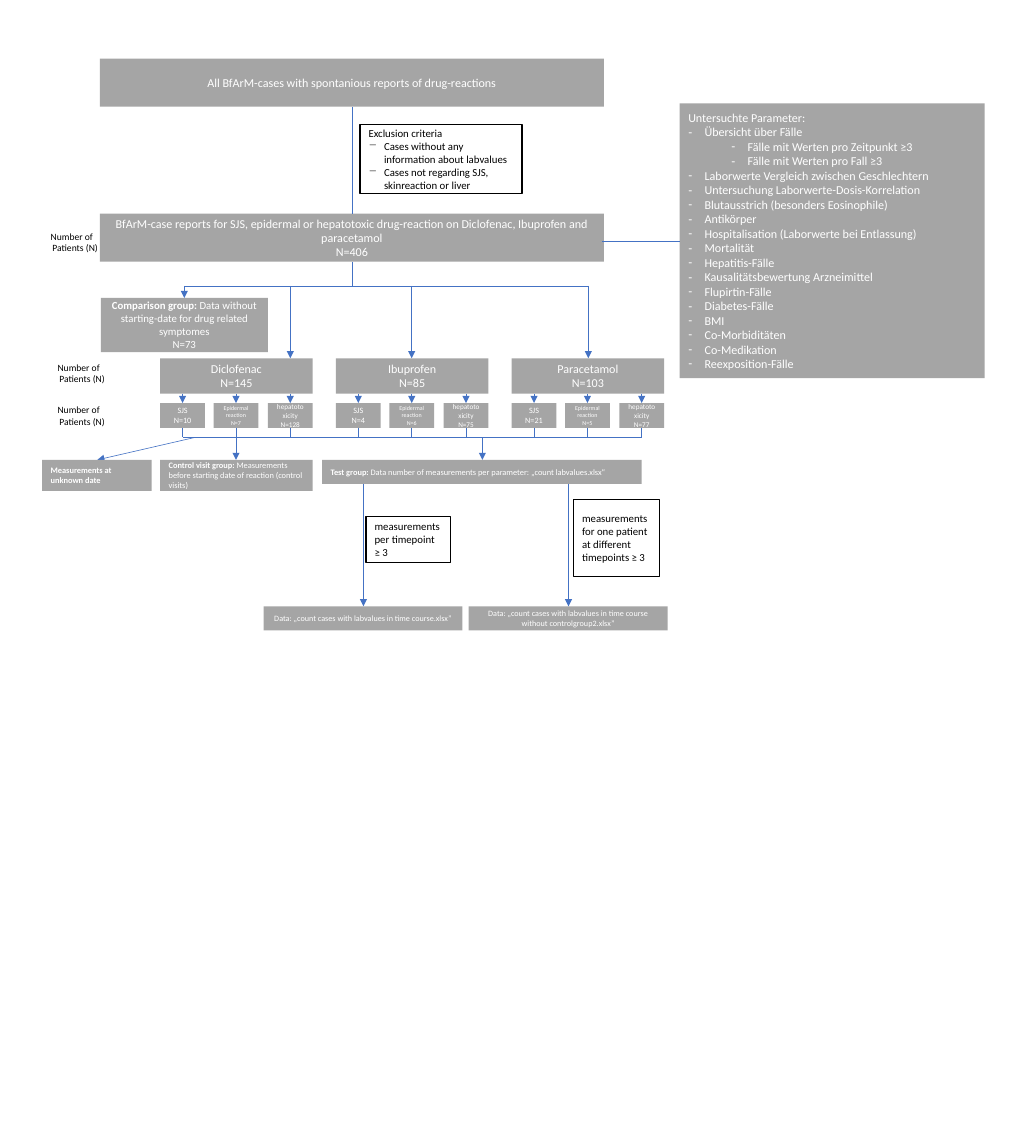
from lxml import etree
from pptx import Presentation
from pptx import util as u
from pptx.dml.color import RGBColor
from pptx.enum import shapes, text
from pptx.oxml.ns import qn

SCALE = 9144
INK = {"gray": "A5A5A5", "white": "FFFFFF", "black": "000000", "blue": "4472C4"}
LEFT, MID = text.PP_ALIGN.LEFT, text.PP_ALIGN.CENTER


def px(n):
    """Turn px into EMU."""
    return u.Emu(n * SCALE)


def tint(name):
    """Give the colour of a name."""
    return RGBColor.from_string(INK[name])


class Chart:
    """Draws flow chart parts on one slide in one style."""

    def __init__(self, slide, font):
        """Keep the slide and the font."""
        self.slide, self.font = slide, font

    def words(self, frame, lines, size, ink, align):
        """Fill a frame with lines; text before a bar is bold."""
        frame.word_wrap = True
        frame.auto_size = text.MSO_AUTO_SIZE.NONE
        frame.vertical_anchor = text.MSO_ANCHOR.MIDDLE
        frame.margin_left = frame.margin_right = px(10)
        frame.margin_top = frame.margin_bottom = px(5)
        for i, line in enumerate(lines):
            para = frame.add_paragraph() if i else frame.paragraphs[0]
            para.alignment = align
            para.space_before = u.Pt(0)
            lead, bar, rest = line.rpartition("|")
            for part, bold in ((lead, True), (rest, False)):
                if part:
                    run = para.add_run()
                    run.text = part
                    run.font.name, run.font.size = self.font, u.Pt(size)
                    run.font.bold = bold
                    run.font.color.rgb = tint(ink)
        return frame.paragraphs

    def indent(self, para, left, hang=0, mark=None):
        """Set the indent and the bullet of a paragraph."""
        props = para._p.get_or_add_pPr()
        props.set("marL", str(px(left)))
        props.set("indent", str(px(-hang)))
        if mark:
            etree.SubElement(props, qn("a:buChar")).set("char", mark)
        else:
            etree.SubElement(props, qn("a:buNone"))

    def box(self, x, y, w, h, lines, size, align=MID, fill="gray", ink="white", line=None):
        """Add a filled box with text."""
        shape = self.slide.shapes.add_shape(
            shapes.MSO_SHAPE.RECTANGLE, px(x), px(y), px(w), px(h))
        shape.shadow.inherit = False
        shape.fill.solid()
        shape.fill.fore_color.rgb = tint(fill)
        if line:
            shape.line.color.rgb = tint(line)
            shape.line.width = u.Pt(1)
        else:
            shape.line.fill.background()
        return self.words(shape.text_frame, lines, size, ink, align)

    def note(self, x, y, w, h, lines):
        """Add a white box with a black frame."""
        return self.box(x, y, w, h, lines, 9, LEFT, "white", "black", "black")

    def holder(self, shape, x, y, w, h, lines, size, align):
        """Move and fill a placeholder."""
        shape.left, shape.top, shape.width, shape.height = px(x), px(y), px(w), px(h)
        shape.fill.solid()
        shape.fill.fore_color.rgb = tint("gray")
        return self.words(shape.text_frame, lines, size, "white", align)

    def label(self, x, y):
        """Add a row label."""
        area = self.slide.shapes.add_textbox(px(x), px(y), px(86), px(37))
        paras = self.words(area.text_frame, ["Number of", "Patients (N)"], 8, "black", LEFT)
        self.indent(paras[1], 2)

    def line(self, x, y, to_x, to_y, head=False):
        """Add a line, with an arrowhead at its end if asked."""
        link = self.slide.shapes.add_connector(
            shapes.MSO_CONNECTOR.STRAIGHT, px(x), px(y), px(to_x), px(to_y))
        link.line.color.rgb = tint("blue")
        link.line.width = u.Pt(0.5)
        if head:
            etree.SubElement(link.line._get_or_add_ln(), qn("a:tailEnd")).set("type", "triangle")
        etree.SubElement(link._element.spPr, qn("a:effectLst"))


def main():
    """Build the slide."""
    deck = Presentation()
    deck.slide_width, deck.slide_height = px(1183), px(1333)
    slide = deck.slides.add_slide(deck.slide_layouts[1])
    chart = Chart(slide, "Calibri")

    chart.holder(slide.shapes.title, 116, 68, 585, 56,
                 ["All BfArM-cases with spontanious reports of drug-reactions"], 10.1, MID)
    topics = [
        "Untersuchte Parameter:", "Übersicht über Fälle",
        "Fälle mit Werten pro Zeitpunkt ≥3", "Fälle mit Werten pro Fall ≥3",
        "Laborwerte Vergleich zwischen Geschlechtern",
        "Untersuchung Laborwerte-Dosis-Korrelation",
        "Blutausstrich (besonders Eosinophile)", "Antikörper",
        "Hospitalisation (Laborwerte bei Entlassung)", "Mortalität",
        "Hepatitis-Fälle", "Kausalitätsbewertung Arzneimittel",
        "Flupirtin-Fälle", "Diabetes-Fälle", "BMI", "Co-Morbiditäten",
        "Co-Medikation", "Reexposition-Fälle"]
    paras = chart.holder(slide.placeholders[1], 789, 120, 354, 319, topics, 10.1, LEFT)
    chart.indent(paras[0], 0)
    for i, para in enumerate(paras[1:], 1):
        para.level = 1 if i in (2, 3) else 0
        chart.indent(para, 69 if para.level else 19, 19, "-")

    chart.box(116, 248, 585, 56, [
        "BfArM-case reports for SJS, epidermal or hepatotoxic drug-reaction on "
        "Diclofenac, Ibuprofen and paracetamol", "N=406"], 10.1)
    paras = chart.note(418, 145, 188, 80, [
        "Exclusion criteria", "Cases without any information about labvalues",
        "Cases not regarding SJS, skinreaction or liver"])
    for para in paras[1:]:
        chart.indent(para, 18, 18, "−")
    chart.box(117, 346, 194, 63, [
        "Comparison group: |Data without starting-date for drug related symptomes",
        "N=73"], 9)

    chart.line(409, 124, 409, 248)
    chart.line(409, 304, 409, 332)
    chart.line(699, 280, 789, 280)
    chart.line(214, 332, 683, 332)
    chart.line(214, 332, 214, 346, True)
    for x in (337, 478, 683):
        chart.line(x, 332, x, 416, True)

    drugs = [("Diclofenac", 145, (10, 7, 128)), ("Ibuprofen", 85, (4, 6, 75)),
             ("Paracetamol", 103, (21, 5, 77))]
    kinds = [("SJS", 6.8, 0), ("Epidermal reaction", 5, 62), ("hepatotoxicity", 6, 125)]
    for i, (drug, total, counts) in enumerate(drugs):
        left = 186 + 204 * i
        chart.box(left, 416, 177, 41, [drug, f"N={total}"], 10.1)
        for (kind, size, step), count in zip(kinds, counts):
            x = left + step
            chart.box(x, 468, 52, 29, [kind, f"N={count}"], size)
            chart.line(x + 26, 457, x + 26, 468, True)
            chart.line(x + 26, 497, x + 26, 508)

    chart.line(212, 508, 745, 508)
    for x, to_x in ((226, 113), (274, 274), (560, 560)):
        chart.line(x, 508, to_x, 534, True)
    chart.box(49, 534, 127, 36, ["Measurements at unknown date|"], 7, LEFT)
    chart.box(186, 534, 177, 36, [
        "Control visit group: |Measurements before starting date of reaction "
        "(control visits)"], 7, LEFT)
    chart.box(374, 534, 371, 28, [
        "Test group: |Data number of measurements per parameter: "
        "„count labvalues.xlsx“"], 7, LEFT)

    for x, end in ((306, ""), (544, " without controlgroup2")):
        chart.box(x, 704, 231, 28, [
            f"Data: „count cases with labvalues in time course{end}.xlsx”"], 6.8)
        chart.line(x + 116, 562, x + 116, 704, True)
    chart.note(425, 600, 98, 53, ["measurements per timepoint ≥ 3"])
    chart.note(666, 580, 100, 89, ["measurements for one patient at different timepoints ≥ 3"])

    for x, y in ((49, 263), (57, 415), (57, 464)):
        chart.label(x, y)
    deck.save("out.pptx")


if __name__ == "__main__":
    main()
